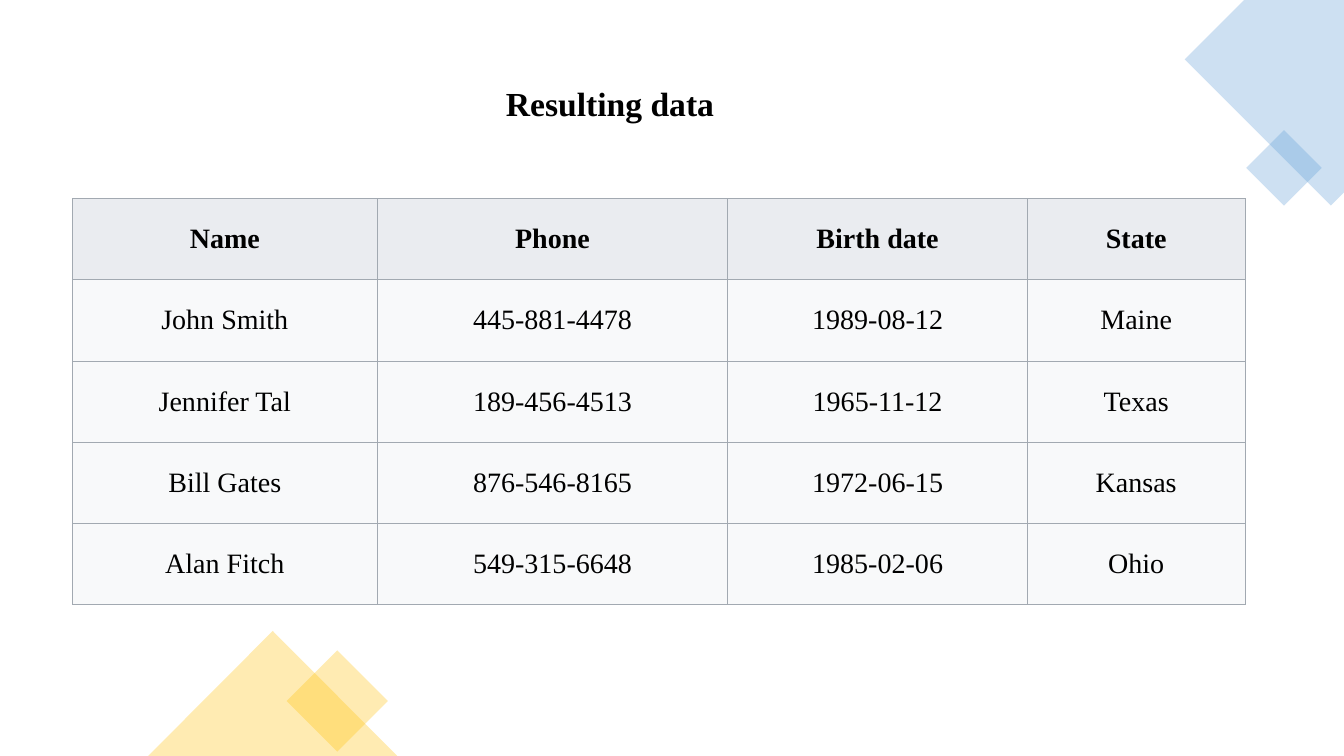
from lxml import etree
from pptx import Presentation
from pptx.dml.color import RGBColor
from pptx.enum import shapes, text
from pptx.oxml import ns
from pptx.util import Inches, Pt

FONT = "Times New Roman"
COLORS = {
    "blue": "5B9BD5",
    "gold": "FFC000",
    "header": "EAECF0",
    "body": "F8F9FA",
    "border": "A2A9B1",
    "ink": "000000",
}
COLUMN_WIDTHS = [3.02, 3.48, 2.97, 2.16]
ROWS = [
    ["Name", "Phone", "Birth date", "State"],
    ["John Smith", "445-881-4478", "1989-08-12", "Maine"],
    ["Jennifer Tal", "189-456-4513", "1965-11-12", "Texas"],
    ["Bill Gates", "876-546-8165", "1972-06-15", "Kansas"],
    ["Alan Fitch", "549-315-6648", "1985-02-06", "Ohio"],
]


def rgb(name):
    return RGBColor.from_string(COLORS[name])


def paint(shape, color, opacity=30):
    """Give a shape a see-through fill (opacity in percent) without outline or shadow."""
    shape.shadow.inherit = False
    shape.line.fill.background()
    shape.fill.solid()
    shape.fill.fore_color.rgb = rgb(color)
    tint = shape.fill._xPr.find(".//" + ns.qn("a:srgbClr"))
    etree.SubElement(tint, ns.qn("a:alpha"), val=str(opacity * 1000))


def add_square(page, left, top, side, color, rotation):
    square = page.shapes.add_shape(
        shapes.MSO_SHAPE.RECTANGLE, Inches(left), Inches(top), Inches(side), Inches(side))
    square.rotation = rotation
    paint(square, color)


def add_blue_corner(page, left, top):
    outline = [(1.58, 0), (0.59, 0), (0, 0.59), (1.45, 2.04), (1.58, 1.91)]
    points = [(Inches(left + x), Inches(top + y)) for x, y in outline]
    builder = page.shapes.build_freeform(*points[0], scale=1.0)
    builder.add_line_segments(points[1:], close=True)
    paint(builder.convert_to_shape(), "blue")
    add_square(page, left + 0.72, top + 1.4, 0.53, "blue", 315)


def add_gold_corner(page, left, top, width, height):
    add_square(page, left + 1.52, top + 0.34, 0.71, "gold", 45)
    triangle = page.shapes.add_shape(
        shapes.MSO_SHAPE.ISOSCELES_TRIANGLE,
        Inches(left), Inches(top), Inches(width), Inches(height))
    paint(triangle, "gold")


def write(frame, content, size, bold):
    """Fill a text frame with one centred paragraph."""
    frame.text = content
    para = frame.paragraphs[0]
    para.alignment = text.PP_ALIGN.CENTER
    font = para.runs[0].font
    font.name, font.size, font.bold = FONT, Pt(size), bold
    font.color.rgb = rgb("ink")


def add_title(page, left, top, width, height):
    box = page.shapes.add_textbox(Inches(left), Inches(top), Inches(width), Inches(height))
    box.text_frame.word_wrap = True
    write(box.text_frame, "Resulting data", 24, True)


def add_borders(cell):
    properties = cell._tc.get_or_add_tcPr()
    for side in ("lnL", "lnR", "lnT", "lnB"):
        line = etree.SubElement(properties, ns.qn("a:" + side), w=str(Pt(0.75)))
        fill = etree.SubElement(line, ns.qn("a:solidFill"))
        etree.SubElement(fill, ns.qn("a:srgbClr"), val=COLORS["border"])


def add_data_table(page, left, top, row_height):
    frame = page.shapes.add_table(
        len(ROWS), len(COLUMN_WIDTHS), Inches(left), Inches(top),
        Inches(sum(COLUMN_WIDTHS)), Inches(row_height * len(ROWS)))
    table = frame.table
    for column, width in zip(table.columns, COLUMN_WIDTHS):
        column.width = Inches(width)
    for row_index, values in enumerate(ROWS):
        is_header = row_index == 0
        for column_index, value in enumerate(values):
            cell = table.cell(row_index, column_index)
            add_borders(cell)
            cell.fill.solid()
            cell.fill.fore_color.rgb = rgb("header" if is_header else "body")
            cell.vertical_anchor = text.MSO_ANCHOR.MIDDLE
            cell.margin_left = cell.margin_right = Inches(0.18)
            cell.margin_top = cell.margin_bottom = Inches(0.09)
            write(cell.text_frame, value, 20, is_header)


def main():
    deck = Presentation()
    deck.slide_width, deck.slide_height = Inches(13.33), Inches(7.5)
    page = deck.slides.add_slide(deck.slide_layouts[6])
    add_blue_corner(page, 11.75, 0)
    add_gold_corner(page, 1.47, 6.26, 2.47, 1.24)
    add_data_table(page, 0.72, 1.97, 0.806)
    add_title(page, 2.71, 0.77, 6.68, 0.5)
    deck.save("out.pptx")


if __name__ == "__main__":
    main()
